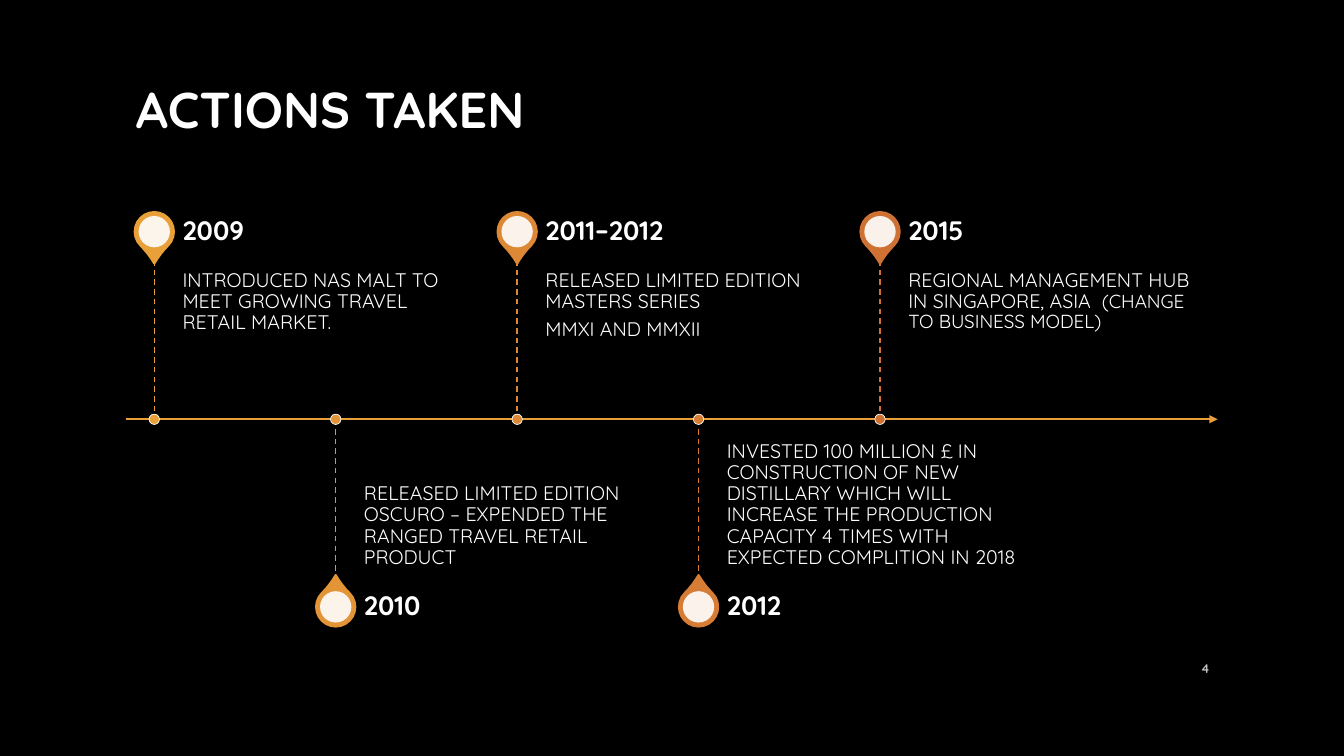
from lxml import etree
from pptx import Presentation
from pptx.dml.color import RGBColor
from pptx.enum.dml import MSO_LINE
from pptx.enum.shapes import MSO_CONNECTOR, MSO_SHAPE
from pptx.enum.text import MSO_ANCHOR, PP_ALIGN
from pptx.oxml.ns import qn
from pptx.util import Pt

# Content: year, colour, paragraphs of (text, size) runs
TITLE = "ACTIONS TAKEN"
PAGE = "4"
EVENTS = [
    ("2009", RGBColor(0xE9, 0xA0, 0x39),
     [[("INTRODUCED NAS MALT TO MEET GROWING TRAVEL RETAIL MARKET.", 14)]]),
    ("2010", RGBColor(0xE3, 0x94, 0x37),
     [[("RELEASED LIMITED EDITION OSCURO – EXPENDED THE RANGED TRAVEL RETAIL PRODUCT", 14)]]),
    ("2011–2012", RGBColor(0xDD, 0x88, 0x35),
     [[("RELEASED LIMITED EDITION MASTERS SERIES", 14)], [("MMXI AND MMXII", 14)]]),
    ("2012", RGBColor(0xD6, 0x7C, 0x34),
     [[("INVESTED 100 MILLION £ IN CONSTRUCTION OF NEW DISTILLARY WHICH WILL INCREASE "
        "THE PRODUCTION CAPACITY 4 TIMES WITH EXPECTED COMPLITION IN 2018", 14)]]),
    ("2015", RGBColor(0xCF, 0x71, 0x33),
     [[("REGIONAL MANAGEMENT HUB IN SINGAPORE, ASIA  ", 14),
       ("(CHANGE TO BUSINESS MODEL)", 13.5)]]),
]

# Style
FONT = "Quicksand"
BLACK = RGBColor(0, 0, 0)
WHITE = RGBColor(0xFF, 0xFF, 0xFF)
GREY = RGBColor(0xBF, 0xBF, 0xBF)
GOLD = EVENTS[0][1]
STRAIGHT = MSO_CONNECTOR.STRAIGHT
OVAL, TEARDROP = MSO_SHAPE.OVAL, MSO_SHAPE.TEAR
DASH = MSO_LINE.DASH
TOP, MIDDLE, BOTTOM = MSO_ANCHOR.TOP, MSO_ANCHOR.MIDDLE, MSO_ANCHOR.BOTTOM
LEFT, RIGHT = PP_ALIGN.LEFT, PP_ALIGN.RIGHT

# Layout in points
AXIS_LEFT, AXIS_RIGHT, AXIS_Y = 90, 869.8, 299.5
FIRST_X, STEP = 110.2, 129.6
STEM, PIN_REACH = 113.8, 134
PIN, HOLE, DOT = 28, 22.4, 7.4
TEXT_GAP, TEXT_W, YEAR_H = 20.2, 216, 40.3

prs = Presentation()
prs.slide_width, prs.slide_height = Pt(960), Pt(540)
slide = prs.slides.add_slide(prs.slide_layouts[6])
slide.background.fill.solid()
slide.background.fill.fore_color.rgb = BLACK


def add_line(x1, y1, x2, y2, color, width):
    line = slide.shapes.add_connector(STRAIGHT, Pt(x1), Pt(y1), Pt(x2), Pt(y2))
    line.line.color.rgb = color
    line.line.width = Pt(width)
    etree.SubElement(line._element.spPr, qn("a:effectLst"))
    return line


def add_round(kind, cx, cy, size, fill, line=None, width=0):
    sp = slide.shapes.add_shape(kind, Pt(cx - size / 2), Pt(cy - size / 2), Pt(size), Pt(size))
    sp.shadow.inherit = False
    sp.fill.solid()
    sp.fill.fore_color.rgb = fill
    if line is None:
        sp.line.fill.background()
    else:
        sp.line.color.rgb = line
        sp.line.width = Pt(width)
    return sp


def add_text(box, paragraphs, anchor, insets, bold=False, color=WHITE,
             align=LEFT, spacing=1.0, after=0):
    sp = slide.shapes.add_textbox(*map(Pt, box))
    tf = sp.text_frame
    tf.word_wrap = True
    tf.vertical_anchor = anchor
    tf.margin_left, tf.margin_top, tf.margin_right, tf.margin_bottom = map(Pt, insets)
    for i, runs in enumerate(paragraphs):
        p = tf.add_paragraph() if i else tf.paragraphs[0]
        p.alignment = align
        p.line_spacing = spacing
        p.space_after = Pt(after)
        for text, size in runs:
            r = p.add_run()
            r.text = text
            r.font.name = FONT
            r.font.size = Pt(size)
            r.font.bold = bold
            r.font.color.rgb = color


# Title
add_text((90, 48.2, 780, 59), [[(TITLE, 36)]], MIDDLE, (7.2, 3.6, 7.2, 3.6), bold=True)

# Time axis
axis = add_line(AXIS_LEFT, AXIS_Y, AXIS_RIGHT, AXIS_Y, GOLD, 1.5)
etree.SubElement(axis.line._get_or_add_ln(), qn("a:tailEnd"), type="triangle")

# Events, alternately above and below the axis
for i, (year, color, paragraphs) in enumerate(EVENTS):
    above = i % 2 == 0
    side = -1 if above else 1
    x = FIRST_X + i * STEP
    stem_end = AXIS_Y + side * STEM
    pin_y = AXIS_Y + side * PIN_REACH

    # Pin with a pale hole
    pin = add_round(TEARDROP, x, pin_y, PIN, color, color, 1.5)
    pin.adjustments[0] = 1.15
    pin.rotation = 135 if above else 315
    hole = add_round(OVAL, x, pin_y, HOLE, WHITE)
    white = hole.fill._xPr.find(qn("a:solidFill"))[0]
    etree.SubElement(white, qn("a:alpha"), val="90000")

    # Description and year
    text_x = x + TEXT_GAP
    add_text((text_x, min(AXIS_Y, stem_end), TEXT_W, STEM), paragraphs,
             TOP if above else BOTTOM,
             (0, 7.2, 7.2, 10.8) if above else (0, 10.8, 0, 7.2),
             spacing=0.9, after=5)
    year_y = stem_end - YEAR_H if above else stem_end
    add_text((text_x, year_y, TEXT_W, YEAR_H), [[(year, 19)]], MIDDLE,
             (0, 0, 9.4, 0), bold=True, spacing=0.9)

    # Stem and dot on the axis
    stem = add_line(x, min(AXIS_Y, stem_end), x, max(AXIS_Y, stem_end), color, 1)
    stem.line.dash_style = DASH
    add_round(OVAL, x, AXIS_Y, DOT, color, WHITE, 0.5)

# Page number
add_text((828, 463, 43.2, 28.8), [[(PAGE, 9)]], MIDDLE, (7.2, 3.6, 7.2, 3.6),
         bold=True, color=GREY, align=RIGHT)

prs.save("out.pptx")
